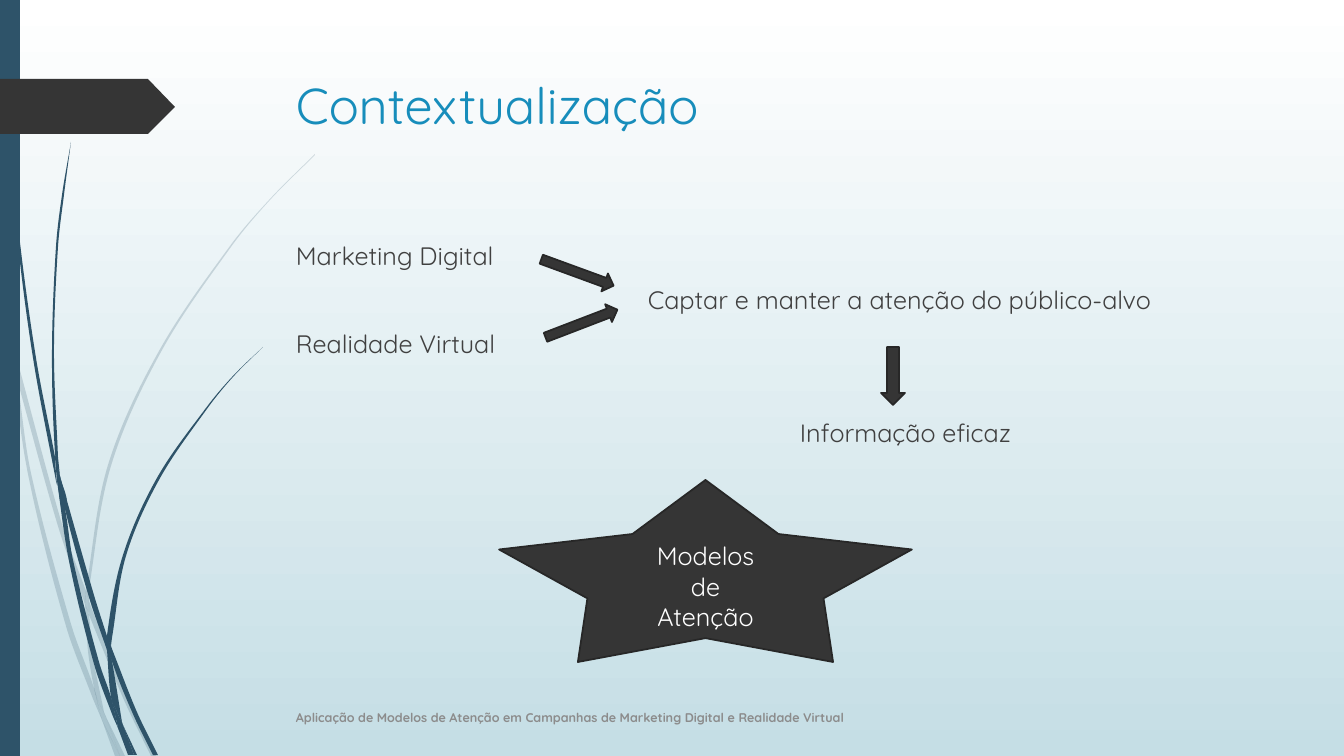
from math import hypot
from pptx import Presentation
from pptx.dml.color import RGBColor
from pptx.enum.shapes import MSO_SHAPE as Kind
from pptx.enum.text import MSO_ANCHOR as Anchor, PP_ALIGN as Align
from pptx.oxml.ns import qn
from pptx.util import Pt
from lxml.etree import SubElement as add_sub

SCALE = 914400 / 100.8
WIDE, HIGH = 1344, 756
FONT = "Quicksand"
WHITE = RGBColor(0xFF, 0xFF, 0xFF)
MIST = RGBColor(0xC5, 0xDE, 0xE5)
NAVY = RGBColor(0x2E, 0x53, 0x69)
DARK = RGBColor(0x35, 0x35, 0x35)
EDGE = RGBColor(0x27, 0x27, 0x27)
BLUE = RGBColor(0x17, 0x8D, 0xBB)
INK = RGBColor(0x40, 0x40, 0x40)
GRAY = RGBColor(0x8C, 0x8C, 0x8C)

TITLE = "Contextualização"
BODY = [
    ("Marketing Digital", 0, 10),
    ("Captar e manter a atenção do público-alvo", 352, 10),
    ("Realidade Virtual", 0, 10),
    ("Informação eficaz", 504, 42),
]
FOOT = "Aplicação de Modelos de Atenção em Campanhas de Marketing Digital e Realidade Virtual"
STAR = ["Modelos", "de", "Atenção"]

ARROWS = [
    (Kind.RIGHT_ARROW, (539, 263, 77, 19), 20.1),
    (Kind.DOWN_ARROW, (881, 347, 24, 58), 0),
    (Kind.RIGHT_ARROW, (543, 314, 77, 19), 339),
]
FLAG = [(0, 79), (148, 79), (175, 107), (148, 134), (0, 134)]

# Each blade: knots down one edge, then knots up the other
PALE = [
    ([(0, 284), (9, 325), (11, 353)], [(10, 347), (0, 301)]),
    ([(14, 348), (62, 524), (86, 591)], [(85, 604), (58, 526), (17, 379)]),
    ([(89, 601), (93, 612), (128, 698), (156, 756)],
     [(151, 756), (124, 700), (89, 615)]),
    ([(106, 717), (125, 756)], [(120, 756), (106, 717)]),
    ([(11, 353), (17, 379), (31, 473), (71, 624), (94, 688), (100, 713), (102, 720)],
     [(93, 699), (66, 626), (28, 474), (11, 353)]),
    ([(85, 604), (88, 651), (94, 688), (97, 698), (106, 717)],
     [(104, 712), (92, 651), (89, 615), (85, 604)]),
    ([(315, 154), (270, 199), (230, 246), (159, 351), (108, 465), (86, 589), (86, 591)],
     [(89, 601), (89, 589), (111, 466), (161, 352), (231, 247), (270, 200), (315, 155)]),
    ([(102, 720), (115, 756)], [(120, 756), (102, 720)]),
    ([(86, 591), (85, 604), (89, 613)], [(89, 615), (89, 601), (86, 591)]),
    ([(94, 688), (100, 713), (102, 720), (120, 756)],
     [(106, 717), (97, 698), (94, 688)]),
]
DEEP = [
    ([(3, 0), (4, 48), (7, 111), (17, 235), (33, 358), (56, 481), (57, 485)],
     [(55, 461), (55, 457), (36, 358), (19, 234), (8, 110), (5, 48), (4, 0)]),
    ([(60, 476), (94, 595), (107, 636)], [(107, 650), (89, 597), (65, 509), (60, 476)]),
    ([(111, 646), (114, 654), (137, 712), (158, 755)],
     [(153, 755), (133, 714), (112, 661), (111, 646)]),
    ([(57, 481), (69, 561), (94, 664), (112, 714), (118, 728)],
     [(117, 723), (111, 697), (99, 662), (73, 560), (65, 509), (57, 481)]),
    ([(71, 142), (62, 195), (56, 247), (52, 352), (55, 453), (60, 476)],
     [(58, 457), (54, 352), (58, 247), (64, 195), (71, 142)]),
    ([(123, 725), (137, 755)], [(134, 755), (123, 725)]),
    ([(57, 481), (65, 509), (60, 476)], [(55, 453), (55, 457), (57, 481)]),
    ([(263, 347), (233, 376), (206, 408), (157, 478), (123, 555), (107, 636), (111, 646)],
     [(112, 638), (126, 556), (159, 480), (207, 409), (233, 377), (263, 347)]),
    ([(118, 728), (128, 755)], [(132, 755), (118, 728)]),
    ([(107, 650), (111, 697), (117, 712), (123, 725)],
     [(122, 722), (112, 661), (110, 656), (107, 650)]),
    ([(107, 636), (107, 650), (112, 661)], [(111, 646), (107, 636)]),
    ([(111, 697), (117, 723), (118, 728), (131, 755)],
     [(134, 755), (123, 725), (117, 712), (111, 697)]),
]


def px(num):
    return round(num * SCALE)


def paint(shape, fill, line=None):
    shape.shadow.inherit = False
    shape.fill.solid()
    shape.fill.fore_color.rgb = fill
    if line is None:
        shape.line.fill.background()
    else:
        shape.line.color.rgb = line
        shape.line.width = Pt(1.25)


def draw(kind, box, line=None, fill=DARK):
    shape = shapes.add_shape(kind, *map(px, box))
    paint(shape, fill, line)
    return shape


def trace(points, fill):
    points = [(px(x), px(y)) for x, y in points]
    form = shapes.build_freeform(*points[0])
    form.add_line_segments(points[1:], close=True)
    shape = form.convert_to_shape()
    paint(shape, fill)
    return shape


def bend(knots):
    last = len(knots) - 1
    ways = []
    for i in range(last + 1):
        (x0, y0), (x1, y1) = knots[max(i - 1, 0)], knots[min(i + 1, last)]
        span = hypot(x1 - x0, y1 - y0) or 1
        ways.append(((x1 - x0) / span, (y1 - y0) / span))
    points = []
    for i in range(last):
        (x0, y0), (x1, y1) = knots[i], knots[i + 1]
        (u0, v0), (u1, v1) = ways[i], ways[i + 1]
        arm = hypot(x1 - x0, y1 - y0) / 3
        points += [(x0 + u0 * arm, y0 + v0 * arm), (x1 - u1 * arm, y1 - v1 * arm), (x1, y1)]
    return points


def blade(down, up, alpha=None):
    shape = trace(down[:1] + bend(down) + bend([down[-1], up[0]]) + bend(up), NAVY)
    props = shape.element.spPr
    lines = list(props.iter(qn("a:lnTo")))
    for first, *rest in zip(lines[::3], lines[1::3], lines[2::3]):
        first.tag = qn("a:cubicBezTo")
        for line in rest:
            first.append(line[0])
            line.getparent().remove(line)
    if alpha:
        color = props.find(".//" + qn("a:srgbClr"))
        add_sub(color, qn("a:alpha")).set("val", str(alpha * 1000))


def write(frame, rows, size, color, align=Align.LEFT, bold=False):
    frame.word_wrap = True
    for i, (text, dent, gap) in enumerate(rows):
        para = frame.add_paragraph() if i else frame.paragraphs[0]
        para.text = text
        para.alignment = align
        para.space_before = Pt(gap if i else 0)
        para.font.name = FONT
        para.font.size = Pt(size)
        para.font.bold = bold
        para.font.color.rgb = color
        if dent:
            para._p.get_or_add_pPr().set("marL", str(px(dent)))


def label(box, rows, size, color, anchor=Anchor.TOP, bold=False):
    frame = shapes.add_textbox(*map(px, box)).text_frame
    frame.vertical_anchor = anchor
    write(frame, rows, size, color, bold=bold)


deck = Presentation()
deck.slide_width, deck.slide_height = px(WIDE), px(HIGH)
slide = deck.slides.add_slide(deck.slide_layouts[6])
shapes = slide.shapes

back = slide.background.fill
back.gradient()
back.gradient_angle = 270
for stop, color, place in zip(back.gradient_stops, (WHITE, MIST), (0, 1)):
    stop.color.rgb = color
    stop.position = place

for down, up in PALE:
    blade(down, up, 20)
for down, up in DEEP:
    blade(down, up)
draw(Kind.RECTANGLE, (0, 0, 20, HIGH), fill=NAVY)
trace(FLAG, DARK)

label((286, 69, 983, 141), [(TITLE, 0, 0)], 36, BLUE)
label((286, 235, 983, 416), BODY, 18, INK)
label((286, 698, 840, 40), [(FOOT, 0, 0)], 9, GRAY, Anchor.MIDDLE, True)

for kind, box, turn in ARROWS:
    draw(kind, box, EDGE).rotation = turn

star = draw(Kind.STAR_5_POINT, (499, 480, 413, 182), EDGE)
for i, value in enumerate((0.286, 1.051, 1.106)):
    star.adjustments[i] = value
star.text_frame.vertical_anchor = Anchor.MIDDLE
write(star.text_frame, [(word, 0, 0) for word in STAR], 18, WHITE, Align.CENTER)

deck.save("out.pptx")
